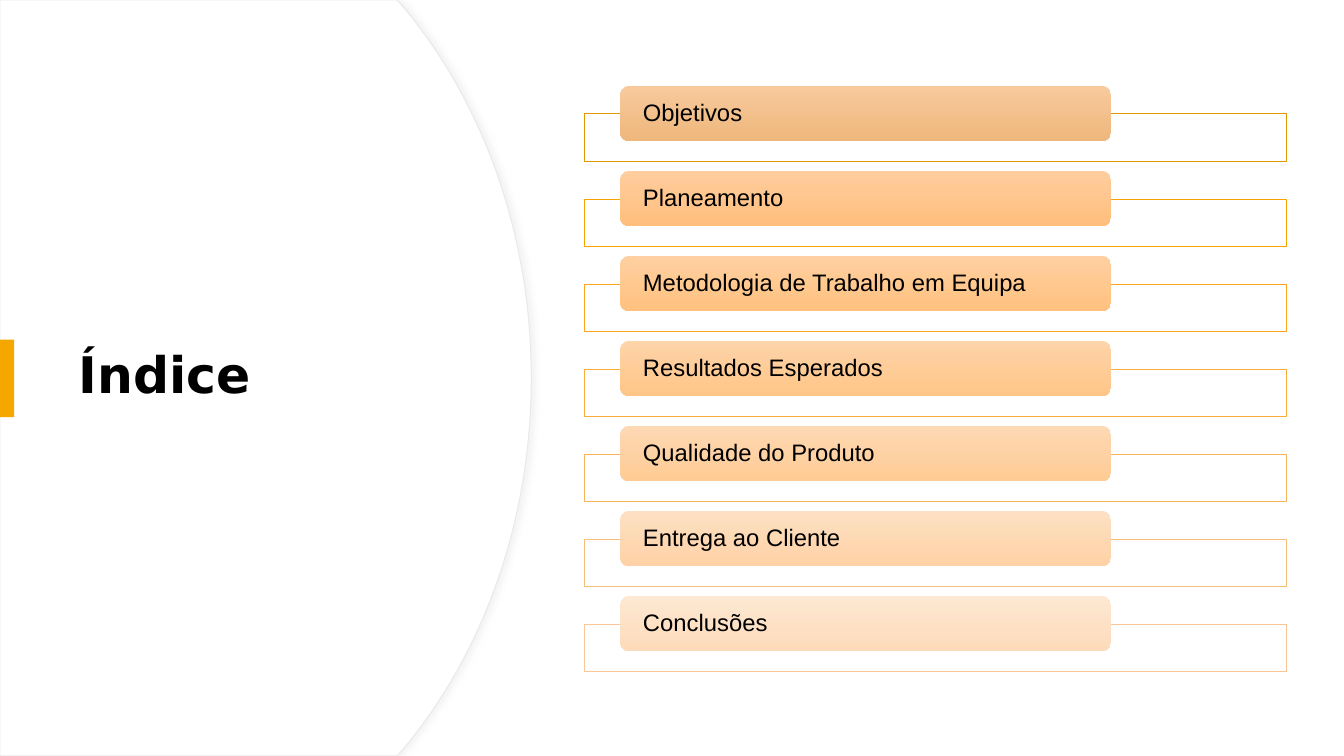
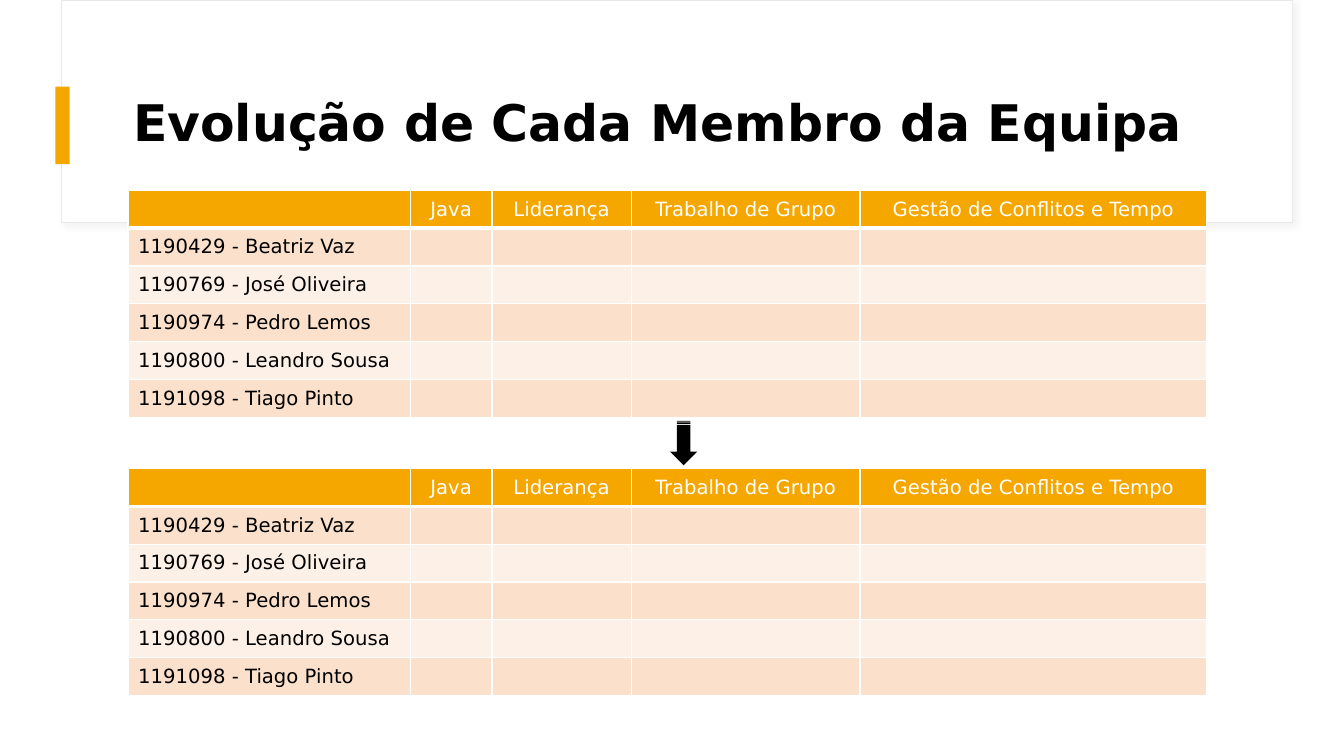
from dataclasses import dataclass

from lxml import etree
from pptx import Presentation
from pptx.dml.color import RGBColor
from pptx.enum.shapes import MSO_SHAPE
from pptx.enum.text import MSO_ANCHOR, MSO_AUTO_SIZE, PP_ALIGN
from pptx.oxml.ns import qn
from pptx.util import Inches, Pt

RECT = MSO_SHAPE.RECTANGLE
ROUND_RECT = MSO_SHAPE.ROUNDED_RECTANGLE
STRIPED_ARROW = MSO_SHAPE.STRIPED_RIGHT_ARROW
MIDDLE = MSO_ANCHOR.MIDDLE
LEFT, CENTER = PP_ALIGN.LEFT, PP_ALIGN.CENTER
NO_FIT = MSO_AUTO_SIZE.NONE
TITLE_ONLY = 5
SLIDE_W, SLIDE_H = 13.33, 7.5


@dataclass(frozen=True)
class Theme:
    """Colours, fonts and type sizes of the deck."""
    accent: str = "F5A700"
    white: str = "FFFFFF"
    black: str = "000000"
    outline: str = "E9E9E9"
    shadow: str = "D9D9D9"
    row_bands: tuple = ("FBE1CC", "FDF1E7")
    font: str = "DejaVu Sans"
    label_font: str = "Arial"
    title_size: int = 36
    label_size: int = 17
    table_size: int = 14


THEME = Theme()

# Topic, frame line, gradient top, gradient bottom
TOPICS = [
    ("Objetivos", "DE9800", "F8CA9D", "EEB77C"),
    ("Planeamento", "F9A303", "FFCD9E", "FFBE7C"),
    ("Metodologia de Trabalho em Equipa", "FAA71E", "FFD0A1", "FFC17F"),
    ("Resultados Esperados", "F9AD3D", "FED4A9", "FFC587"),
    ("Qualidade do Produto", "F8B45B", "FDD9B4", "FFCB94"),
    ("Entrega ao Cliente", "F8BD78", "FDE0C3", "FED2A6"),
    ("Conclusões", "F8C795", "FDE8D3", "FDDBBA"),
]
SKILLS = ["", "Java", "Liderança", "Trabalho de Grupo",
          "Gestão de Conflitos e Tempo"]
MEMBERS = ["1190429 - Beatriz Vaz", "1190769 - José Oliveira",
           "1190974 - Pedro Lemos", "1190800 - Leandro Sousa",
           "1191098 - Tiago Pinto"]
COL_WIDTHS = [2.8, 0.81, 1.38, 2.27, 3.44]
ROW_H = 0.375


def rgb(value):
    """Turn a hex string into a colour."""
    return RGBColor.from_string(value)


def write(tf, text, *, size, font=THEME.font, color=THEME.black, bold=False,
          align=LEFT, spacing=None):
    """Put one formatted line of text in a text frame."""
    p = tf.paragraphs[0]
    p.alignment = align
    if spacing:
        p.line_spacing = spacing
    if not text:
        etree.SubElement(p._p, qn("a:endParaRPr"), sz=str(size * 100))
        return
    r = p.add_run()
    r.text = text
    r.font.name, r.font.size, r.font.bold = font, Pt(size), bold
    r.font.color.rgb = rgb(color)


def paint(sp, fill=None, line=None, width=0.75):
    """Set the fill and line of a shape and clear its shadow."""
    sp.shadow.inherit = False
    if fill:
        sp.fill.solid()
        sp.fill.fore_color.rgb = rgb(fill)
    if line:
        sp.line.color.rgb = rgb(line)
        sp.line.width = Pt(width)
    else:
        sp.line.fill.background()


def add_box(slide, kind, box, **look):
    """Add a preset shape at left, top, width, height."""
    sp = slide.shapes.add_shape(kind, *map(Inches, box))
    paint(sp, **look)
    return sp


def add_soft_shadow(sp, angle):
    """Give a shape the faint shadow of the backdrops."""
    effects = sp._element.spPr.find(qn("a:effectLst"))
    shadow = etree.SubElement(
        effects, qn("a:outerShdw"), blurRad=str(Pt(4)), dist=str(Pt(3)),
        dir=str(angle * 60000), algn="tl", rotWithShape="0")
    color = etree.SubElement(shadow, qn("a:srgbClr"), val=THEME.shadow)
    etree.SubElement(color, qn("a:alpha"), val="30000")


def add_title(slide, text, box, marker):
    """Place the title in front of the backdrop, with its accent marker."""
    sp = slide.shapes.title
    sp.left, sp.top, sp.width, sp.height = map(Inches, box)
    slide.shapes._spTree.append(sp._element)
    tf = sp.text_frame
    tf.word_wrap, tf.auto_size, tf.vertical_anchor = True, NO_FIT, MIDDLE
    write(tf, text, size=THEME.title_size, bold=True, spacing=0.9)
    add_box(slide, RECT, (*marker, 0.14, 0.77), fill=THEME.accent)


def arc_points(steps=32):
    """Return the points of the curved panel edge, from top to bottom."""
    curve = [(4.01, 0.08), (4.79, 1.02), (5.27, 2.32), (5.27, 3.75)]
    upper = []
    for i in range(steps + 1):
        t = i / steps
        weights = ((1 - t) ** 3, 3 * t * (1 - t) ** 2, 3 * t * t * (1 - t),
                   t ** 3)
        upper.append(tuple(sum(w * pt[axis] for w, pt in zip(weights, curve))
                           for axis in (0, 1)))
    upper.insert(0, (3.94, 0))
    return upper + [(x, SLIDE_H - y) for x, y in reversed(upper[:-1])]


def add_curved_panel(slide):
    """Draw the white panel with the round right edge."""
    points = [(Inches(x), Inches(y)) for x, y in arc_points()]
    builder = slide.shapes.build_freeform(0, 0)
    builder.add_line_segments(points + [(0, Inches(SLIDE_H))], close=True)
    sp = builder.convert_to_shape()
    paint(sp, fill=THEME.white, line=THEME.outline)
    add_soft_shadow(sp, 0)


def add_topic(slide, top, text, line, light, dark):
    """Draw one index entry: a frame and a gradient label over it."""
    add_box(slide, RECT, (5.8, top + 0.28, 6.96, 0.47), fill=THEME.white,
            line=line, width=0.5)
    sp = add_box(slide, ROUND_RECT, (6.15, top, 4.87, 0.55))
    sp.fill.gradient()
    sp.fill.gradient_angle = 270
    for stop, color, position in zip(sp.fill.gradient_stops, (light, dark),
                                     (0, 1)):
        stop.color.rgb = rgb(color)
        stop.position = position
    tf = sp.text_frame
    tf.word_wrap, tf.vertical_anchor = True, MIDDLE
    tf.margin_left = tf.margin_right = Inches(0.2)
    tf.margin_top = tf.margin_bottom = 0
    write(tf, text, size=THEME.label_size, font=THEME.label_font, spacing=0.9)


def set_borders(cell, bottom=1):
    """Draw white borders around a table cell."""
    tc_pr = cell._tc.get_or_add_tcPr()
    for side, width in (("L", 1), ("R", 1), ("T", 1), ("B", bottom)):
        ln = etree.SubElement(tc_pr, qn(f"a:ln{side}"), w=str(Pt(width)))
        fill = etree.SubElement(ln, qn("a:solidFill"))
        etree.SubElement(fill, qn("a:srgbClr"), val=THEME.white)


def add_skill_table(slide, top):
    """Add the table of members against skills."""
    rows = [SKILLS] + [[m] + [""] * (len(SKILLS) - 1) for m in MEMBERS]
    frame = slide.shapes.add_table(
        len(rows), len(SKILLS), Inches(1.27), Inches(top),
        Inches(sum(COL_WIDTHS)), Inches(ROW_H * len(rows)))
    table = frame.table
    table.first_row = table.horz_banding = False
    for col, width in zip(table.columns, COL_WIDTHS):
        col.width = Inches(width)
    for i, row in enumerate(rows):
        header = i == 0
        for j, text in enumerate(row):
            cell = table.cell(i, j)
            set_borders(cell, bottom=3 if header else 1)
            cell.fill.solid()
            cell.fill.fore_color.rgb = rgb(
                THEME.accent if header else THEME.row_bands[(i - 1) % 2])
            cell.vertical_anchor = MIDDLE
            write(cell.text_frame, text, size=THEME.table_size,
                  color=THEME.white if header else THEME.black,
                  align=CENTER if header else LEFT)


def build_index(slide):
    """Build the index slide."""
    add_curved_panel(slide)
    add_title(slide, "Índice", (0.68, 1.27, 3.94, 4.95), (0, 3.37))
    for i, topic in enumerate(TOPICS):
        add_topic(slide, 0.85 + i * 0.8433, *topic)


def build_progress(slide):
    """Build the slide on the progress of each member."""
    band = add_box(slide, RECT, (0.61, 0, 12.21, 2.21), fill=THEME.white,
                   line=THEME.outline)
    add_soft_shadow(band, 45)
    add_title(slide, "Evolução de Cada Membro da Equipa",
              (1.22, 0.6, 10.79, 1.29), (0.55, 0.86))
    for top in (1.89, 4.65):
        add_skill_table(slide, top)
    arrow = add_box(slide, STRIPED_ARROW, (6.56, 4.26, 0.44, 0.27),
                    fill=THEME.black)
    arrow.rotation = 90


def main():
    """Build and save the deck."""
    prs = Presentation()
    prs.slide_width, prs.slide_height = Inches(SLIDE_W), Inches(SLIDE_H)
    for build in (build_index, build_progress):
        build(prs.slides.add_slide(prs.slide_layouts[TITLE_ONLY]))
    prs.save("out.pptx")


main()
